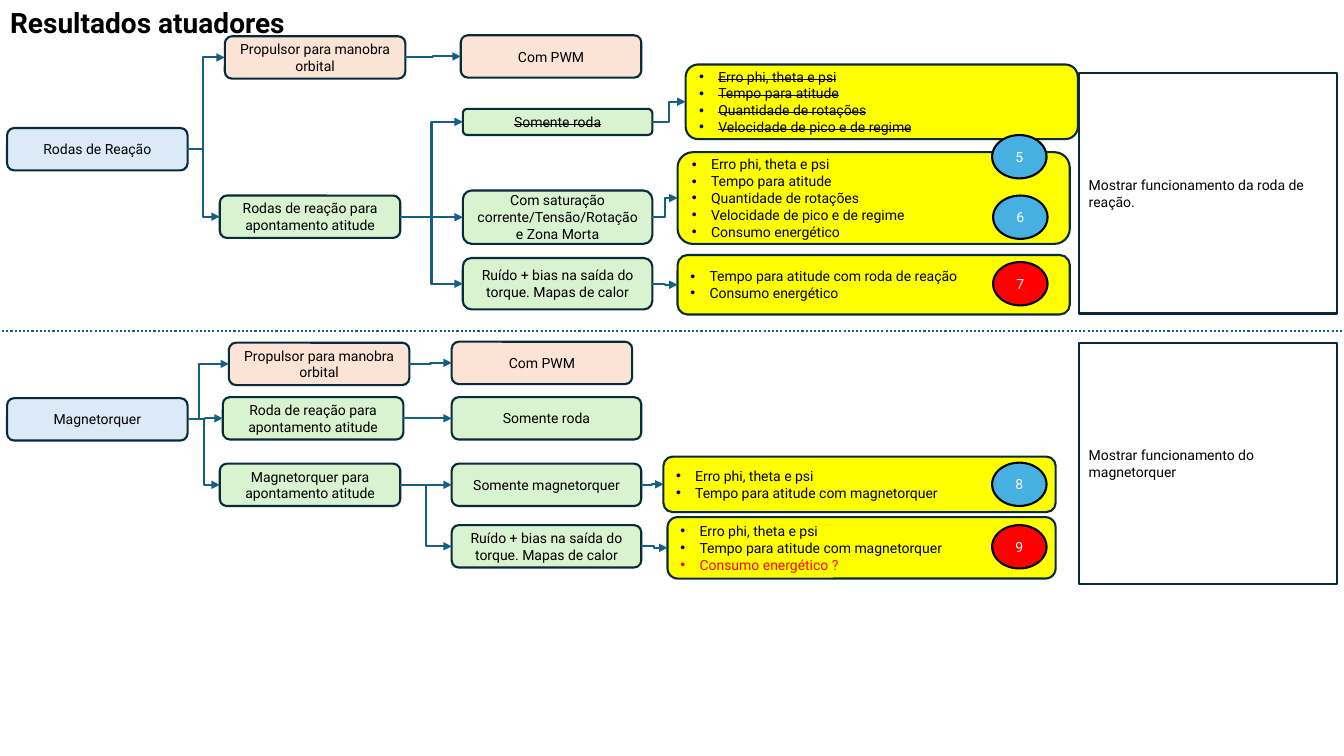
"""Builds the slide of actuator results as two trees of linked boxes."""
from dataclasses import dataclass
from typing import NamedTuple

from pptx import Presentation
from pptx.dml.color import RGBColor
from pptx.enum.dml import MSO_LINE
from pptx.enum.shapes import MSO_CONNECTOR, MSO_SHAPE
from pptx.enum.text import MSO_ANCHOR, MSO_AUTO_SIZE, PP_ALIGN
from pptx.oxml.ns import qn
from pptx.oxml.xmlchemy import OxmlElement
from pptx.shapes.autoshape import Shape
from pptx.shapes.connector import Connector
from pptx.slide import Slide
from pptx.text.text import _Paragraph as Paragraph
from pptx.util import Inches, Pt


@dataclass(frozen=True)
class Theme:
    font: str = "Roboto"
    title_size: int = 20
    text_size: int = 10
    line_width: float = 1.5
    black: str = "000000"
    white: str = "FFFFFF"
    red: str = "FF0000"
    border: str = "092A39"
    link: str = "156082"
    blue: str = "DCEAF7"
    peach: str = "FBE3D6"
    green: str = "D9F2D0"
    yellow: str = "FFFF00"
    sky: str = "46B1E1"


THEME = Theme()


@dataclass(frozen=True)
class Node:
    name: str
    left: float
    top: float
    text: str
    fill: str
    width: float = 1.79
    height: float = 0.42
    struck: bool = False
    doubtful_end: bool = False


class Link(NamedTuple):
    source: str
    target: str
    bend: float = 0.5


class Badge(NamedTuple):
    left: float
    top: float
    text: str
    fill: str


class Note(NamedTuple):
    top: float
    text: str


ERROR = "Erro phi, theta e psi"
STRUCK_METRICS = f"{ERROR}\nTempo para atitude\nQuantidade de rotações\nVelocidade de pico e de regime"
ENERGY = "Consumo energético"
TORQUER_METRICS = f"{ERROR}\nTempo para atitude com magnetorquer"
THRUSTER = "Propulsor para manobra orbital"
NOISE = "Ruído + bias na saída do torque. Mapas de calor"

NODES = [
    Node("wheels", 0.07, 1.27, "Rodas de Reação", THEME.blue),
    Node("wheels thruster", 2.23, 0.36, THRUSTER, THEME.peach),
    Node("wheels pwm", 4.57, 0.35, "Com PWM", THEME.peach),
    Node("wheels pointing", 2.18, 1.94, "Rodas de reação para apontamento atitude", THEME.green),
    Node("ideal wheel", 4.59, 1.08, "Somente roda", THEME.green, 1.88, 0.26, struck=True),
    Node("saturation", 4.59, 1.89, "Com saturação corrente/Tensão/Rotação e Zona Morta",
         THEME.green, 1.88, 0.53),
    Node("wheel noise", 4.59, 2.56, NOISE, THEME.green, 1.88, 0.51),
    Node("ideal metrics", 6.8, 0.64, STRUCK_METRICS, THEME.yellow, 3.89, 0.74, struck=True),
    Node("saturation metrics", 6.72, 1.51, f"{STRUCK_METRICS}\n{ENERGY}", THEME.yellow, 3.89, 0.91),
    Node("wheel noise metrics", 6.72, 2.53, f"Tempo para atitude com roda de reação\n{ENERGY}",
         THEME.yellow, 3.89, 0.59),
    Node("torquer", 0.07, 3.95, "Magnetorquer", THEME.blue),
    Node("torquer thruster", 2.27, 3.4, THRUSTER, THEME.peach),
    Node("torquer pwm", 4.48, 3.39, "Com PWM", THEME.peach),
    Node("wheel pointing", 2.21, 3.94, "Roda de reação para apontamento atitude", THEME.green),
    Node("only wheel", 4.48, 3.94, "Somente roda", THEME.green, 1.88),
    Node("torquer pointing", 2.18, 4.6, "Magnetorquer para apontamento atitude", THEME.green),
    Node("only torquer", 4.48, 4.6, "Somente magnetorquer", THEME.green, 1.88),
    Node("torquer noise", 4.48, 5.21, NOISE, THEME.green, 1.88),
    Node("torquer metrics", 6.58, 4.53, TORQUER_METRICS, THEME.yellow, 3.89, 0.55),
    Node("torquer noise metrics", 6.62, 5.13, f"{TORQUER_METRICS}\n{ENERGY} ?", THEME.yellow,
         3.85, 0.61, doubtful_end=True),
]
LINKS = [
    Link("wheels", "wheels thruster", 0.41),
    Link("wheels", "wheels pointing", 0.47),
    Link("wheels thruster", "wheels pwm"),
    Link("wheels pointing", "ideal wheel"),
    Link("wheels pointing", "saturation"),
    Link("wheels pointing", "wheel noise"),
    Link("ideal wheel", "ideal metrics"),
    Link("saturation", "saturation metrics"),
    Link("wheel noise", "wheel noise metrics"),
    Link("torquer", "torquer thruster", 0.28),
    Link("torquer", "wheel pointing"),
    Link("torquer", "torquer pointing"),
    Link("torquer thruster", "torquer pwm"),
    Link("wheel pointing", "only wheel"),
    Link("torquer pointing", "only torquer"),
    Link("torquer pointing", "torquer noise"),
    Link("only torquer", "torquer metrics"),
    Link("torquer noise", "torquer noise metrics"),
]
BADGES = [
    Badge(9.84, 1.34, "5", THEME.sky),
    Badge(9.85, 1.94, "6", THEME.sky),
    Badge(9.85, 2.6, "7", THEME.red),
    Badge(9.84, 4.59, "8", THEME.sky),
    Badge(9.84, 5.21, "9", THEME.red),
]
NOTES = [
    Note(0.72, "Mostrar funcionamento da roda de reação."),
    Note(3.4, "Mostrar funcionamento do magnetorquer"),
]


def format_paragraph(paragraph: Paragraph, align: PP_ALIGN, color: str, size: int = THEME.text_size,
                     bold: bool = False, struck: bool = False) -> None:
    paragraph.alignment = align
    for span in paragraph.runs:
        span.font.name, span.font.size, span.font.bold = THEME.font, Pt(size), bold
        span.font.color.rgb = RGBColor.from_string(color)
        if struck:
            span.font._element.set("strike", "sngStrike")


def add_bullet(paragraph: Paragraph) -> None:
    properties = paragraph._p.get_or_add_pPr()
    properties.set("marL", str(Inches(0.19)))
    properties.set("indent", str(-Inches(0.19)))
    for tag, name, value in (("a:buFont", "typeface", "Arial"), ("a:buChar", "char", "•")):
        bullet = OxmlElement(tag)
        bullet.set(name, value)
        properties.append(bullet)


def draw_box(page: Slide, kind: MSO_SHAPE, left: float, top: float, width: float, height: float,
             text: str, fill: str, border: str = THEME.border) -> Shape:
    box = page.shapes.add_shape(kind, Inches(left), Inches(top), Inches(width), Inches(height))
    box.shadow.inherit = False
    box.fill.solid()
    box.fill.fore_color.rgb = RGBColor.from_string(fill)
    box.line.color.rgb = RGBColor.from_string(border)
    box.line.width = Pt(THEME.line_width)
    box.text_frame.word_wrap = True
    box.text_frame.vertical_anchor = MSO_ANCHOR.MIDDLE
    box.text_frame.text = text
    return box


def draw_node(page: Slide, node: Node) -> Shape:
    box = draw_box(page, MSO_SHAPE.ROUNDED_RECTANGLE, node.left, node.top, node.width, node.height,
                   node.text, node.fill)
    is_list = node.fill == THEME.yellow
    paragraphs = box.text_frame.paragraphs
    for number, paragraph in enumerate(paragraphs, 1):
        doubtful = node.doubtful_end and number == len(paragraphs)
        format_paragraph(paragraph, PP_ALIGN.LEFT if is_list else PP_ALIGN.CENTER,
                         THEME.red if doubtful else THEME.black, struck=node.struck)
        if is_list:
            add_bullet(paragraph)
    return box


def style_connector(connector: Connector) -> None:
    connector.line.color.rgb = RGBColor.from_string(THEME.link)
    connector.line.width = Pt(THEME.line_width)
    connector._element.spPr.append(OxmlElement("a:effectLst"))


def draw_link(page: Slide, source: Shape, target: Shape, bend: float) -> None:
    connector = page.shapes.add_connector(MSO_CONNECTOR.ELBOW, 0, 0, 0, 0)
    connector.begin_connect(source, 3)
    connector.end_connect(target, 1)
    style_connector(connector)
    properties = connector._element.spPr
    guide = OxmlElement("a:gd")
    guide.set("name", "adj1")
    guide.set("fmla", f"val {round(bend * 100000)}")
    properties.find(qn("a:prstGeom")).get_or_add_avLst().append(guide)
    arrow = OxmlElement("a:tailEnd")
    arrow.set("type", "triangle")
    properties.get_or_add_ln().append(arrow)


def draw_title(page: Slide) -> None:
    title = page.shapes.title
    title.left, title.top, title.width, title.height = 0, 0, Inches(3.01), Inches(0.44)
    frame = title.text_frame
    frame.text = "Resultados atuadores"
    frame.word_wrap = False
    frame.auto_size = MSO_AUTO_SIZE.SHAPE_TO_FIT_TEXT
    frame.vertical_anchor = MSO_ANCHOR.TOP
    format_paragraph(frame.paragraphs[0], PP_ALIGN.LEFT, THEME.black, THEME.title_size, bold=True)


def main() -> None:
    deck = Presentation()
    deck.slide_width, deck.slide_height = Inches(13.33), Inches(7.5)
    page = deck.slides.add_slide(deck.slide_layouts[5])
    draw_title(page)
    for note in NOTES:
        box = draw_box(page, MSO_SHAPE.RECTANGLE, 10.7, note.top, 2.56, 2.39, note.text, THEME.white)
        format_paragraph(box.text_frame.paragraphs[0], PP_ALIGN.LEFT, THEME.black)
    boxes = {node.name: draw_node(page, node) for node in NODES}
    for link in LINKS:
        draw_link(page, boxes[link.source], boxes[link.target], link.bend)
    divider = page.shapes.add_connector(MSO_CONNECTOR.STRAIGHT, Inches(0.02), Inches(3.28),
                                        Inches(13.33), Inches(3.28))
    style_connector(divider)
    divider.line.dash_style = MSO_LINE.ROUND_DOT
    for badge in BADGES:
        box = draw_box(page, MSO_SHAPE.OVAL, badge.left, badge.top, 0.54, 0.43, badge.text,
                       badge.fill, THEME.black)
        format_paragraph(box.text_frame.paragraphs[0], PP_ALIGN.CENTER, THEME.white)
    deck.save("out.pptx")


if __name__ == "__main__":
    main()
